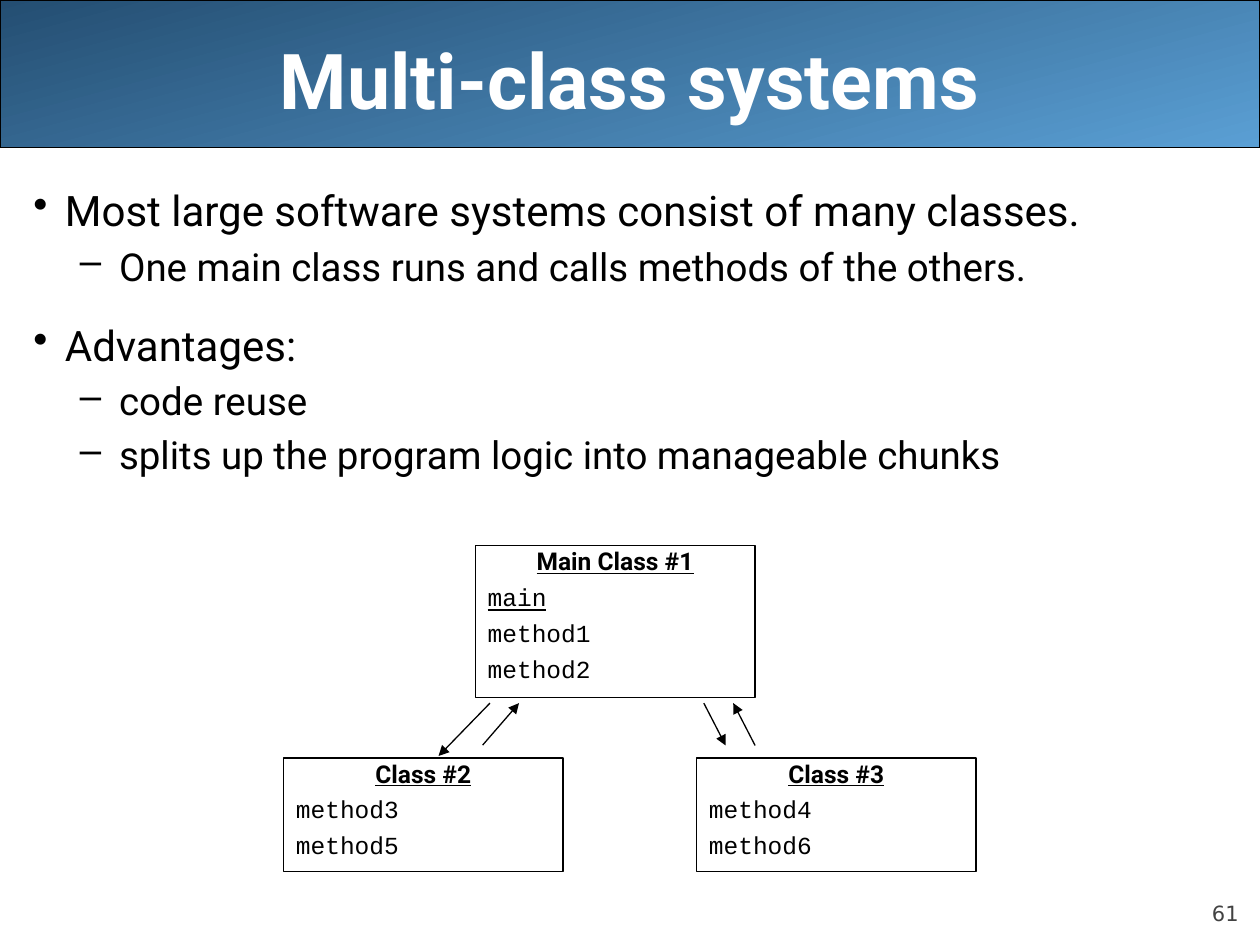
from typing import NamedTuple

import pptx
import pptx.dml.color
import pptx.enum.shapes
import pptx.enum.text
import pptx.oxml
import pptx.oxml.ns
import pptx.util
from pptx.dml.color import RGBColor
from pptx.enum.shapes import MSO_CONNECTOR, MSO_SHAPE
from pptx.enum.text import MSO_ANCHOR, MSO_AUTO_SIZE, PP_ALIGN
from pptx.util import Pt

BLACK = RGBColor(0x00, 0x00, 0x00)
WHITE = RGBColor(0xFF, 0xFF, 0xFF)
GRAY = RGBColor(0x42, 0x42, 0x42)
DARK_BLUE = RGBColor(0x24, 0x4E, 0x72)
LIGHT_BLUE = RGBColor(0x5A, 0x9F, 0xD4)
BODY_FONT = "Roboto"
CODE_FONT = "Courier New"
LINE_WIDTH = 0.75
BOX_WIDTH = 159.8


class BulletStyle(NamedTuple):
    character: str
    size: float
    margin: float
    hanging: float


class Bullet(NamedTuple):
    text: str
    level: int
    space_before: float


class ClassBox(NamedTuple):
    name: str
    methods: tuple[str, ...]
    left: float
    top: float
    height: float


class Arrow(NamedTuple):
    begin_x: float
    begin_y: float
    end_x: float
    end_y: float


BULLET_STYLES = (BulletStyle("•", 24, 18, 18), BulletStyle("–", 22, 49, 22.5))

BULLETS = (
    Bullet("Most large software systems consist of many classes.", 0, 0),
    Bullet("One main class runs and calls methods of the others.", 1, 4.4),
    Bullet("Advantages:", 0, 17.2),
    Bullet("code reuse", 1, 4.4),
    Bullet("splits up the program logic into manageable chunks", 1, 4.4),
)

CLASS_BOXES = (
    ClassBox("Main Class #1", ("main", "method1", "method2"), 271.6, 311.8, 86.6),
    ClassBox("Class #2", ("method3", "method5"), 162, 433.2, 64.8),
    ClassBox("Class #3", ("method4", "method6"), 398, 433.2, 64.8),
)

ARROWS = (
    Arrow(280, 401.8, 250.6, 432),
    Arrow(275.8, 425.8, 296.6, 401.8),
    Arrow(402.2, 401.8, 414.7, 426),
    Arrow(431.5, 426, 419, 401.8),
)


def add_run(paragraph, text: str, size: float, font_name: str, color: RGBColor,
            bold: bool = False, underline: bool = False) -> None:
    run = paragraph.add_run()
    run.text = text
    run.font.size = Pt(size)
    run.font.name = font_name
    run.font.color.rgb = color
    run.font.bold = bold
    run.font.underline = underline


def next_paragraph(text_frame, index: int):
    return text_frame.add_paragraph() if index else text_frame.paragraphs[0]


def add_title(slide, text: str) -> None:
    band = slide.shapes.add_shape(MSO_SHAPE.RECTANGLE, Pt(0), Pt(0), Pt(720), Pt(84.2))
    band.shadow.inherit = False
    band.fill.gradient()
    band.fill.gradient_angle = 285
    for stop, color in zip(band.fill.gradient_stops, (DARK_BLUE, LIGHT_BLUE)):
        stop.color.rgb = color
    band.line.color.rgb = BLACK
    band.line.width = Pt(LINE_WIDTH)
    title = slide.shapes.title
    title._element.addprevious(band._element)
    title.left, title.top, title.width, title.height = Pt(36), Pt(0), Pt(648), Pt(90)
    title.text_frame.auto_size = MSO_AUTO_SIZE.NONE
    title.text_frame.vertical_anchor = MSO_ANCHOR.MIDDLE
    paragraph = title.text_frame.paragraphs[0]
    paragraph.alignment = PP_ALIGN.CENTER
    add_run(paragraph, text, 44, BODY_FONT, WHITE, bold=True)


def add_bullets(slide, bullets: tuple[Bullet, ...]) -> None:
    text_frame = slide.shapes.add_textbox(Pt(12), Pt(102), Pt(708), Pt(408)).text_frame
    text_frame.word_wrap = True
    for index, bullet in enumerate(bullets):
        style = BULLET_STYLES[bullet.level]
        paragraph = next_paragraph(text_frame, index)
        paragraph.level = bullet.level
        paragraph.space_before = Pt(bullet.space_before)
        properties = paragraph._p.get_or_add_pPr()
        properties.set("marL", str(Pt(style.margin)))
        properties.set("indent", str(-Pt(style.hanging)))
        namespace = pptx.oxml.ns.nsdecls("a")
        properties.append(pptx.oxml.parse_xml(
            f'<a:buClr {namespace}><a:srgbClr val="{BLACK}"/></a:buClr>'))
        properties.append(pptx.oxml.parse_xml(
            f'<a:buChar {namespace} char="{style.character}"/>'))
        add_run(paragraph, bullet.text, style.size, BODY_FONT, BLACK)


def add_class_box(slide, box: ClassBox) -> None:
    shape = slide.shapes.add_shape(
        MSO_SHAPE.RECTANGLE, Pt(box.left), Pt(box.top), Pt(BOX_WIDTH), Pt(box.height))
    shape.shadow.inherit = False
    shape.fill.background()
    shape.line.color.rgb = BLACK
    shape.line.width = Pt(LINE_WIDTH)
    text_frame = shape.text_frame
    text_frame.word_wrap = True
    text_frame.vertical_anchor = MSO_ANCHOR.TOP
    for index, text in enumerate((box.name, *box.methods)):
        is_name = index == 0
        paragraph = next_paragraph(text_frame, index)
        paragraph.alignment = PP_ALIGN.CENTER if is_name else PP_ALIGN.LEFT
        paragraph.line_spacing = 0.8
        paragraph.space_before = Pt(0 if is_name else 7)
        add_run(paragraph, text, 14, BODY_FONT if is_name else CODE_FONT, BLACK,
                bold=is_name, underline=is_name or text == "main")


def add_arrow(slide, arrow: Arrow) -> None:
    connector = slide.shapes.add_connector(
        MSO_CONNECTOR.STRAIGHT, *(Pt(value) for value in arrow))
    connector.line.color.rgb = BLACK
    connector.line.width = Pt(LINE_WIDTH)
    namespace = pptx.oxml.ns.nsdecls("a")
    connector.line._get_or_add_ln().append(
        pptx.oxml.parse_xml(f'<a:tailEnd {namespace} type="triangle"/>'))
    connector._element.spPr.append(pptx.oxml.parse_xml(f"<a:effectLst {namespace}/>"))


def add_slide_number(slide, number: str) -> None:
    text_frame = slide.shapes.add_textbox(Pt(648), Pt(500.4), Pt(59.8), Pt(28.8)).text_frame
    text_frame.margin_left = text_frame.margin_right = Pt(0)
    text_frame.margin_top = text_frame.margin_bottom = Pt(0)
    text_frame.word_wrap = True
    text_frame.vertical_anchor = MSO_ANCHOR.BOTTOM
    paragraph = text_frame.paragraphs[0]
    paragraph.alignment = PP_ALIGN.RIGHT
    add_run(paragraph, number, 12, "DejaVu Sans", GRAY)


def main() -> None:
    presentation = pptx.Presentation()
    presentation.slide_width = Pt(720)
    presentation.slide_height = Pt(540)
    slide = presentation.slides.add_slide(presentation.slide_layouts[5])
    add_title(slide, "Multi-class systems")
    add_bullets(slide, BULLETS)
    for box in CLASS_BOXES:
        add_class_box(slide, box)
    for arrow in ARROWS:
        add_arrow(slide, arrow)
    add_slide_number(slide, "61")
    presentation.save("out.pptx")


if __name__ == "__main__":
    main()
